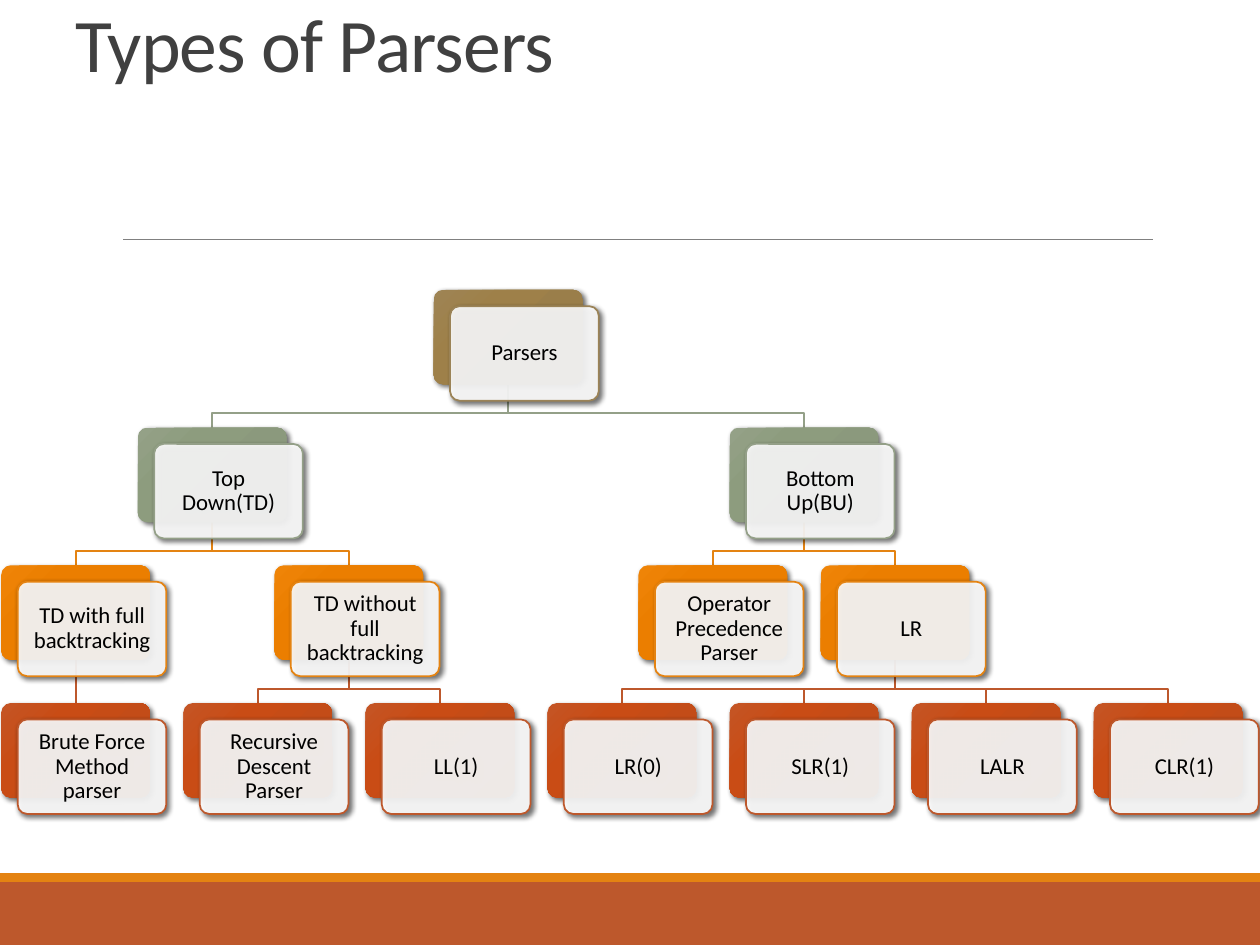
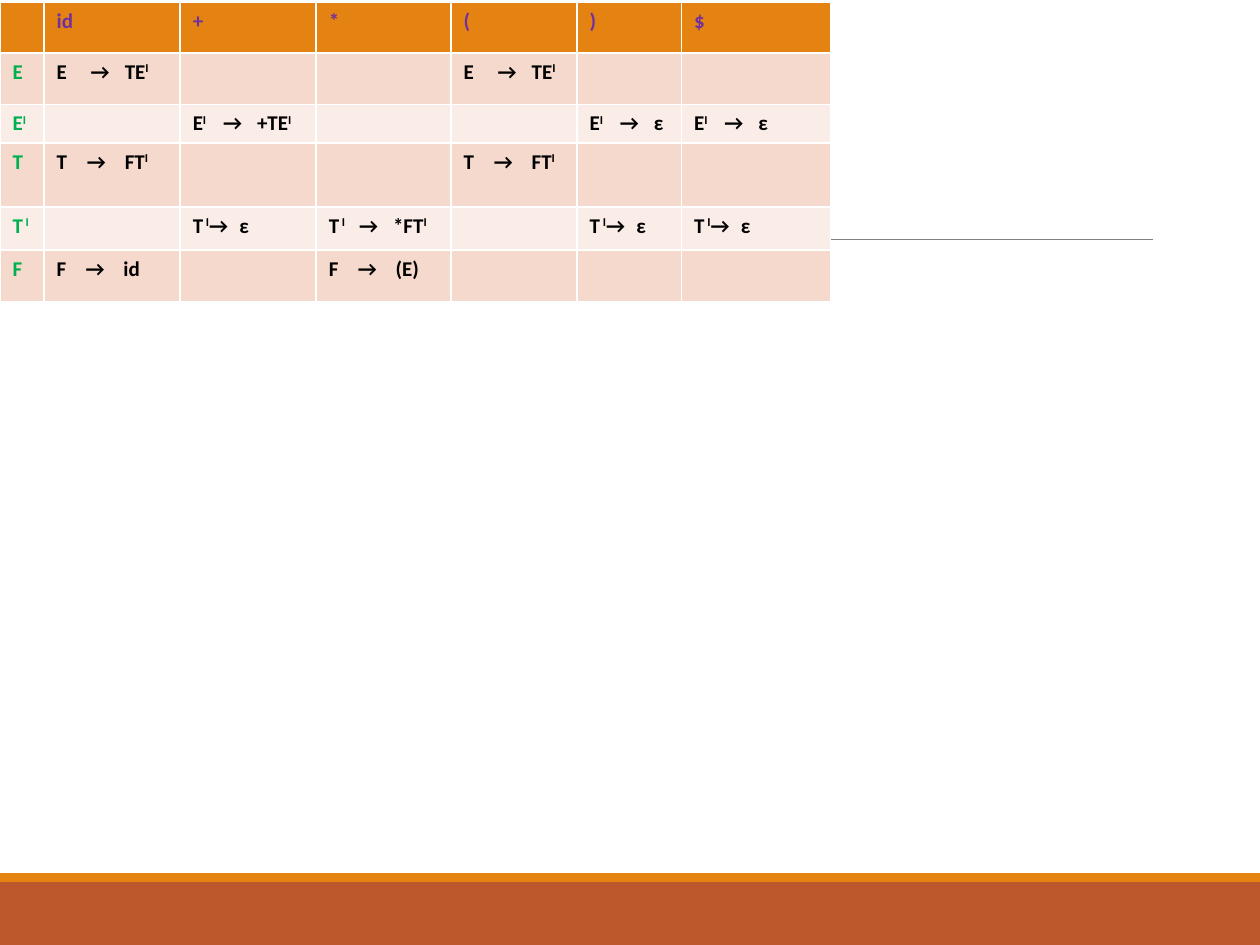
from dataclasses import dataclass
from itertools import chain

from lxml.etree import SubElement
from pptx import Presentation
from pptx.dml.color import RGBColor
from pptx.enum.shapes import MSO_CONNECTOR, MSO_SHAPE
from pptx.enum.text import MSO_ANCHOR, PP_ALIGN
from pptx.oxml import parse_xml
from pptx.oxml.ns import nsdecls, qn
from pptx.util import Inches, Pt


@dataclass(frozen=True)
class Theme:
    """Colours, font and type sizes shared by the slides."""
    font: str = "Calibri"
    white: str = "FFFFFF"
    ink: str = "000000"
    title_ink: str = "404040"
    rule: str = "808080"
    rust: str = "BD582C"
    orange: str = "E48312"
    terminal: str = "7030A0"
    nonterminal: str = "00B050"
    odd_row: str = "F5D9CC"
    even_row: str = "FAEDE7"
    level_lines: tuple = ("9B8357", "94A088", "E48312", "BD582C")
    level_plates: tuple = (
        ("9A7D48", "9A7E4A", "9E8049", "9E8454"),
        ("8A987B", "8B997D", "8D9C7E", "94A187"),
        ("E57B00", "E87D00", "EB7E00", "EF8407"),
        ("C44A15", "C34C18", "C94C15", "C45525"),
    )
    title_size: float = 43.2
    node_size: float = 13
    cell_size: int = 12


@dataclass(frozen=True)
class Box:
    """A region in inches."""
    left: float
    top: float
    width: float
    height: float

    def emu(self):
        """Return the region as slide lengths."""
        return [Inches(n) for n in (self.left, self.top, self.width, self.height)]


@dataclass(frozen=True)
class Node:
    """A parser family; only a leaf is given its column slot."""
    label: str
    slot: float = 0
    children: tuple = ()

    def column(self):
        """Return the slot, centred over the outer children."""
        if not self.children:
            return self.slot
        return (self.children[0].column() + self.children[-1].column()) / 2


THEME = Theme()
PLATE_W, PLATE_H, FACE_SHIFT = 1.18, 0.75, 0.13
COLUMN_STEP, LEVEL_STEP, BEND = 8.67 / 6, 3.28 / 3, 0.23

PARSERS = Node("Parsers", children=(
    Node("Top Down(TD)", children=(
        Node("TD with full backtracking", children=(Node("Brute Force Method parser", 0),)),
        Node("TD without full backtracking", children=(
            Node("Recursive Descent Parser", 1), Node("LL(1)", 2))),
    )),
    Node("Bottom Up(BU)", children=(
        Node("Operator Precedence Parser", 3.5),
        Node("LR", children=(
            Node("LR(0)", 3), Node("SLR(1)", 4), Node("LALR", 5), Node("CLR(1)", 6))),
    )),
))

TERMINALS = ["", "id", "+", "*", "(", ")", "$"]
COLUMN_WIDTHS = [0.35, 1.08, 1.08, 1.07, 1, 0.83, 1.18]
ROW_HEIGHTS = [0.4, 0.41, 0.3, 0.51, 0.34, 0.41]
PRODUCTIONS = [
    ("E", {1: "\t→\tTE^I", 4: "\t→\tTE^I"}, (0.27, 0.54)),
    ("E^I", {2: "\t→\t+TE^I", 5: "\t→\tε", 6: "\t→\tε"}, (0.24, 0.51)),
    ("T", {1: "\t→\tFT^I", 4: "\t→\tFT^I"}, (0.24, 0.54)),
    ("T^ I", {2: "→\tε", 3: "\t→\t*FT^I", 5: "→\tε", 6: "→\tε"}, (0.24, 0.37, 0.51)),
    ("F", {1: "\t→\tid", 3: "\t→\t(E)"}, (0.23, 0.53)),
]


def rgb(colour):
    """Turn a hex colour into an RGBColor."""
    return RGBColor.from_string(colour)


def style_run(run, size, colour, bold=False):
    """Give a run the theme font, a size and a colour."""
    run.font.name = THEME.font
    run.font.size = Pt(size)
    run.font.bold = bold
    run.font.color.rgb = rgb(colour)


def add_filled(slide, preset, box, colour):
    """Add a flat preset shape without outline."""
    shape = slide.shapes.add_shape(preset, *box.emu())
    shape.shadow.inherit = False
    shape.fill.solid()
    shape.fill.fore_color.rgb = rgb(colour)
    shape.line.fill.background()
    return shape


def add_line(slide, start, end, colour, weight):
    """Add a straight connector between two points in inches."""
    line = slide.shapes.add_connector(
        MSO_CONNECTOR.STRAIGHT, *[Inches(n) for n in (*start, *end)])
    line.line.color.rgb = rgb(colour)
    line.line.width = Pt(weight)
    SubElement(line._element.spPr, qn("a:effectLst"))
    return line


def draw_frame(slide, box):
    """Draw the rule and the two bottom bands."""
    bottom = box.top + box.height
    add_filled(slide, MSO_SHAPE.RECTANGLE, Box(box.left, bottom - 0.5, box.width, 0.5), THEME.rust)
    add_filled(slide, MSO_SHAPE.RECTANGLE, Box(box.left, bottom - 0.57, box.width, 0.07),
               THEME.orange)
    rule_y = box.top + 1.9
    add_line(slide, (box.left + 0.98, rule_y), (box.left + 9.15, rule_y), THEME.rule, 0.5)


def draw_title(slide, box, title):
    """Write the slide title on the bottom edge of its box."""
    frame = slide.shapes.add_textbox(*box.emu()).text_frame
    frame.word_wrap = True
    frame.vertical_anchor = MSO_ANCHOR.BOTTOM
    frame.text = title
    heading = frame.paragraphs[0]
    heading.line_spacing = 0.85
    style_run(heading.runs[0], THEME.title_size, THEME.title_ink)
    heading.runs[0]._r.get_or_add_rPr().set("spc", "-50")


def cast_shadow(shape):
    """Give a shape the soft lower-right shadow."""
    shape.shadow.inherit = False
    effects = shape._element.spPr.find(qn("a:effectLst"))
    effects.append(parse_xml(
        f'<a:outerShdw {nsdecls("a")} blurRad="{Pt(3)}" dist="{Pt(2)}" dir="2700000">'
        f'<a:srgbClr val="{THEME.ink}"><a:alpha val="60000"/></a:srgbClr></a:outerShdw>'))


def shade_plate(plate, colours):
    """Replace the flat fill by a circular gradient."""
    stops = "".join(f'<a:gs pos="{at * 1000}"><a:srgbClr val="{colour}"/></a:gs>'
                    for at, colour in zip((0, 34, 70, 100), colours))
    flat = plate._element.spPr.find(qn("a:solidFill"))
    flat.getparent().replace(flat, parse_xml(
        f'<a:gradFill {nsdecls("a")}><a:gsLst>{stops}</a:gsLst><a:path path="circle">'
        '<a:fillToRect l="100000" t="100000"/></a:path></a:gradFill>'))


def draw_node(slide, box, label, level):
    """Draw a plate with its labelled face and return the plate."""
    plate = add_filled(slide, MSO_SHAPE.ROUNDED_RECTANGLE, box, THEME.level_lines[level])
    shade_plate(plate, THEME.level_plates[level])
    face_box = Box(box.left + FACE_SHIFT, box.top + FACE_SHIFT, box.width, box.height)
    face = add_filled(slide, MSO_SHAPE.ROUNDED_RECTANGLE, face_box, THEME.white)
    white = face._element.spPr.find(qn("a:solidFill"))[0]
    SubElement(white, qn("a:alpha")).set("val", "90000")
    face.line.color.rgb = rgb(THEME.level_lines[level])
    face.line.width = Pt(1)
    for card in (plate, face):
        card.adjustments[0] = 0.1
        cast_shadow(card)

    frame = face.text_frame
    frame.word_wrap = True
    frame.vertical_anchor = MSO_ANCHOR.MIDDLE
    frame.margin_left = frame.margin_right = Inches(0.05)
    frame.margin_top = frame.margin_bottom = Inches(0.05)
    frame.text = label
    caption = frame.paragraphs[0]
    caption.alignment = PP_ALIGN.CENTER
    caption.line_spacing = 0.9
    style_run(caption.runs[0], THEME.node_size, THEME.ink)
    return plate


def draw_branch(slide, start, end, colour):
    """Draw a bent line from a parent down to a child."""
    bend_y = start[1] + BEND
    route = [start, (start[0], bend_y), (end[0], bend_y), end]
    points = [(Inches(x), Inches(y)) for x, y in route]
    builder = slide.shapes.build_freeform(*points[0])
    builder.add_line_segments(points[1:], close=False)
    branch = builder.convert_to_shape()
    branch.shadow.inherit = False
    branch.fill.background()
    branch.line.color.rgb = rgb(colour)
    branch.line.width = Pt(1.25)


def draw_tree(slide, box, root):
    """Draw the branches of a tree and then its nodes."""
    levels = [[root]]
    while levels[-1]:
        levels.append(list(chain.from_iterable(node.children for node in levels[-1])))
    places = {
        node.label: Box(box.left + COLUMN_STEP * node.column(),
                        box.top + LEVEL_STEP * level, PLATE_W, PLATE_H)
        for level, nodes in enumerate(levels) for node in nodes}

    straight_links = []
    for level, parents in enumerate(levels):
        for parent in parents:
            place = places[parent.label]
            start = (place.left + PLATE_W / 2, place.top + PLATE_H)
            for child in parent.children:
                target = places[child.label]
                end = (target.left + PLATE_W / 2, target.top)
                colour = THEME.level_lines[level + 1]
                if len(parent.children) == 1:
                    link = add_line(slide, start, end, colour, 1.25)
                    straight_links.append((link, parent, child))
                else:
                    draw_branch(slide, start, end, colour)

    plates = {node.label: draw_node(slide, places[node.label], node.label, level)
              for level, nodes in enumerate(levels) for node in nodes}
    for link, parent, child in straight_links:
        link.begin_connect(plates[parent.label], 2)
        link.end_connect(plates[child.label], 0)


def write_cell(cell, parts, colour, fill, stops=()):
    """Fill a cell; a part after ^ starts with a raised mark ending in I."""
    cell.fill.solid()
    cell.fill.fore_color.rgb = rgb(fill)
    line = cell.text_frame.paragraphs[0]
    if not parts:
        SubElement(line._p, qn("a:endParaRPr")).set("sz", str(THEME.cell_size * 100))
        return
    if stops:
        tabs = SubElement(line._p.get_or_add_pPr(), qn("a:tabLst"))
        for stop in stops:
            SubElement(tabs, qn("a:tab"), pos=str(Inches(stop)), algn="l")
    base, *marked = parts.split("^")
    pieces = [(base, False)]
    for part in marked:
        mark, _, rest = part.partition("I")
        pieces += [(mark + "I", True), (rest, False)]
    for text, raised in pieces:
        if text:
            run = line.add_run()
            run.text = text
            style_run(run, THEME.cell_size, colour, bold=True)
            if raised:
                run._r.get_or_add_rPr().set("baseline", "30000")


def draw_parse_table(slide, box):
    """Draw the predictive parsing table."""
    table = slide.shapes.add_table(len(ROW_HEIGHTS), len(TERMINALS), *box.emu()).table
    for column, width in zip(table.columns, COLUMN_WIDTHS):
        column.width = Inches(width)
    for row, height in zip(table.rows, ROW_HEIGHTS):
        row.height = Inches(height)
    for column, terminal in enumerate(TERMINALS):
        write_cell(table.cell(0, column), terminal, THEME.terminal, THEME.orange)
    for row, (head, bodies, stops) in enumerate(PRODUCTIONS, start=1):
        fill = THEME.odd_row if row % 2 else THEME.even_row
        write_cell(table.cell(row, 0), head, THEME.nonterminal, fill)
        for column in range(1, len(TERMINALS)):
            production = head + bodies[column] if column in bodies else ""
            write_cell(table.cell(row, column), production, THEME.ink, fill, stops)


def main():
    """Build both slides and save the presentation."""
    deck = Presentation()
    page = Box(0, 0, 10, 7.5)
    deck.slide_width, deck.slide_height = page.emu()[2:]
    tree_slide, table_slide = [deck.slides.add_slide(deck.slide_layouts[6]) for _ in range(2)]
    for slide in (tree_slide, table_slide):
        draw_frame(slide, page)
    draw_title(tree_slide, Box(0.5, 0.3, 9, 0.45), "Types of Parsers")
    draw_tree(tree_slide, Box(0.01, 2.3, 9.98, 4.15), PARSERS)
    draw_parse_table(table_slide, Box(0, 0.02, 6.6, 2.37))
    deck.save("out.pptx")


if __name__ == "__main__":
    main()
